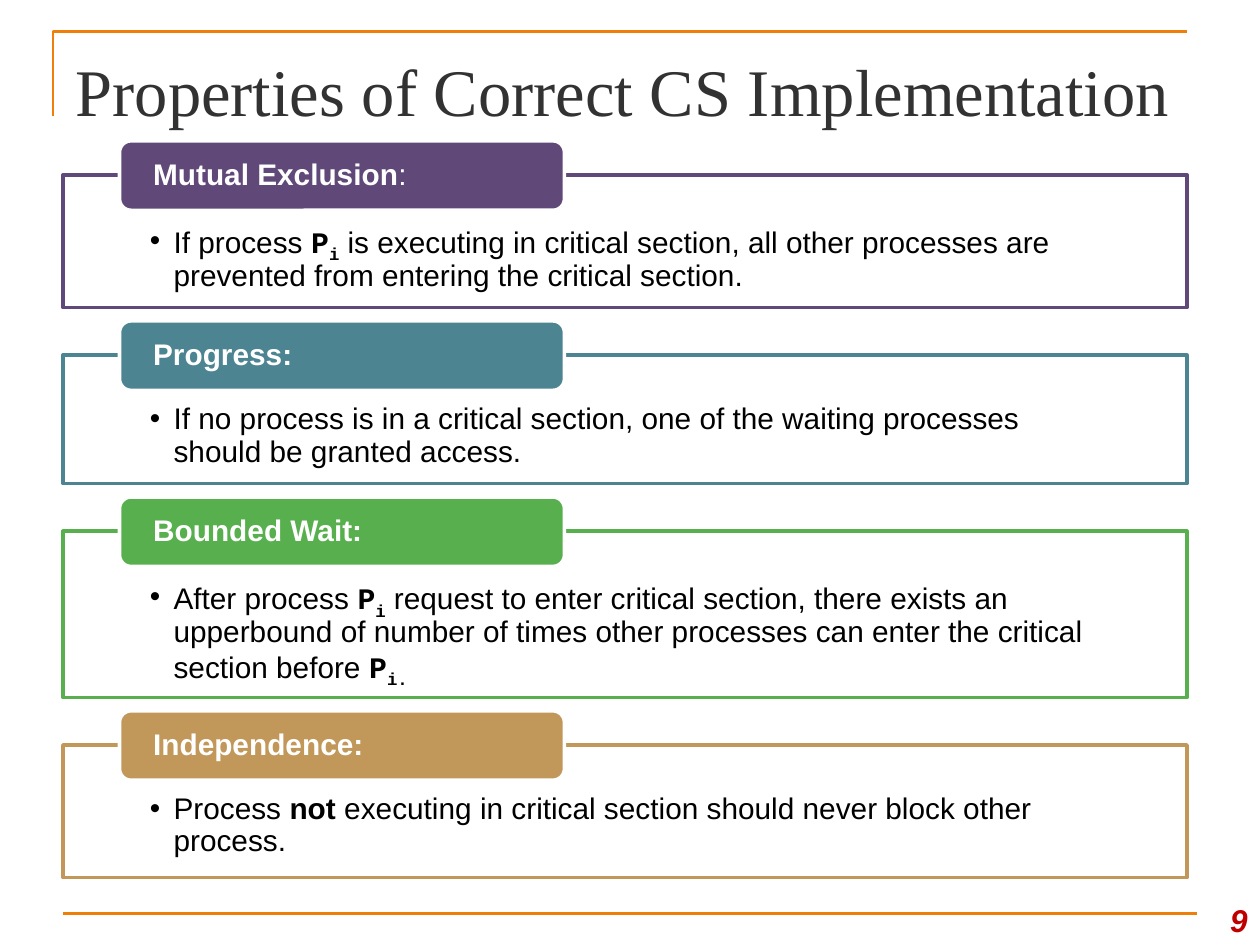
"""Builds a slide on the four properties of a correct critical section."""
from lxml import etree
from pptx import Presentation
from pptx.dml.color import RGBColor
from pptx.enum.shapes import MSO_CONNECTOR, MSO_SHAPE
from pptx.enum.text import MSO_ANCHOR, MSO_AUTO_SIZE, PP_ALIGN
from pptx.oxml.ns import qn
from pptx.util import Cm, Pt

RECTANGLE, ROUNDED = MSO_SHAPE.RECTANGLE, MSO_SHAPE.ROUNDED_RECTANGLE
STRAIGHT = MSO_CONNECTOR.STRAIGHT
TOP, MIDDLE, BOTTOM = MSO_ANCHOR.TOP, MSO_ANCHOR.MIDDLE, MSO_ANCHOR.BOTTOM
LEFT, RIGHT = PP_ALIGN.LEFT, PP_ALIGN.RIGHT
NO_AUTOFIT = MSO_AUTO_SIZE.NONE

WHITE = RGBColor(0xFF, 0xFF, 0xFF)
BLACK = RGBColor(0x00, 0x00, 0x00)
CHARCOAL = RGBColor(0x32, 0x32, 0x32)
ORANGE = RGBColor(0xF0, 0x7F, 0x09)
RED = RGBColor(0xC0, 0x00, 0x00)
PURPLE = RGBColor(0x60, 0x48, 0x78)
TEAL = RGBColor(0x4C, 0x84, 0x92)
GREEN = RGBColor(0x57, 0xAF, 0x4D)
TAN = RGBColor(0xC1, 0x98, 0x59)

PLAIN, BOLD, CODE, SUBSCRIPT = "plain", "bold", "code", "subscript"
PROCESS = [("P", CODE), ("i", SUBSCRIPT)]
PROPERTIES = [
    (PURPLE, 2.67, [("Mutual Exclusion", BOLD), (":", PLAIN)],
     [("If process ", PLAIN), *PROCESS,
      (" is executing in critical section, all other processes are "
       "prevented from entering the critical section.", PLAIN)]),
    (TEAL, 2.59, [("Progress:", BOLD)],
     [("If no process is in a critical section, one of the waiting "
       "processes should be granted access.", PLAIN)]),
    (GREEN, 3.35, [("Bounded Wait:", BOLD)],
     [("After process ", PLAIN), *PROCESS,
      (" request to enter critical section, there exists an upperbound of "
       "number of times other processes can enter the critical section "
       "before ", PLAIN), ("P", CODE), ("i.", SUBSCRIPT)]),
    (TAN, 2.67, [("Independence:", BOLD)],
     [("Process ", PLAIN), ("not ", BOLD),
      ("executing in critical section should never block other process.",
       PLAIN)]),
]
FIRST_TOP, GAP, TAB_RISE = 3.53, 0.96, 0.69


class SlideBuilder:
    """Holds the style and the current slide."""

    text_font, code_font, title_font = "Arial", "Courier New", "Times New Roman"
    text_size, title_size, number_size = Pt(17), Pt(38), Pt(18)
    rule_width, outline_width = Pt(1.5), Pt(2)

    def __init__(self, presentation):
        """Adds a title-only slide."""
        self.slide = presentation.slides.add_slide(presentation.slide_layouts[5])

    def title(self, text):
        """Places and formats the title."""
        shape = self.slide.shapes.title
        shape.left, shape.top = Cm(1.27), Cm(0.76)
        shape.width, shape.height = Cm(22.86), Cm(1.98)
        frame = shape.text_frame
        frame.text = text
        frame.auto_size = NO_AUTOFIT
        frame.vertical_anchor = BOTTOM
        paragraph = frame.paragraphs[0]
        paragraph.alignment = LEFT
        font = paragraph.runs[0].font
        font.name, font.size = self.title_font, self.title_size
        font.color.rgb = CHARCOAL

    def corner(self, left, top, right, bottom):
        """Draws an open corner along the left and top."""
        builder = self.slide.shapes.build_freeform(Cm(left), Cm(bottom))
        builder.add_line_segments(
            [(Cm(left), Cm(top)), (Cm(right), Cm(top))], close=False)
        shape = builder.convert_to_shape()
        shape.shadow.inherit = False
        shape.fill.background()
        shape.line.color.rgb, shape.line.width = ORANGE, self.rule_width

    def rule(self, left, right, top):
        """Draws a horizontal rule."""
        connector = self.slide.shapes.add_connector(
            STRAIGHT, Cm(left), Cm(top), Cm(right), Cm(top))
        connector.line.color.rgb = ORANGE
        connector.line.width = self.rule_width
        etree.SubElement(connector.element.spPr, qn("a:effectLst"))

    def box(self, kind, bounds, fill, outline):
        """Adds a filled and outlined shape."""
        shape = self.slide.shapes.add_shape(kind, *map(Cm, bounds))
        shape.shadow.inherit = False
        shape.fill.solid()
        shape.fill.fore_color.rgb = fill
        shape.line.color.rgb, shape.line.width = outline, self.outline_width
        return shape

    def styled_text(self, shape, pieces, color, margins, anchor):
        """Puts styled runs into a shape and returns the paragraph."""
        frame = shape.text_frame
        frame.word_wrap = True
        frame.vertical_anchor = anchor
        side, top, bottom = map(Cm, margins)
        frame.margin_left = frame.margin_right = side
        frame.margin_top, frame.margin_bottom = top, bottom
        paragraph = frame.paragraphs[0]
        paragraph.alignment = LEFT
        paragraph.line_spacing = 0.9
        for text, style in pieces:
            run = paragraph.add_run()
            run.text = text
            font = run.font
            font.size, font.bold = self.text_size, style != PLAIN
            font.color.rgb = color
            is_code = style in (CODE, SUBSCRIPT)
            font.name = self.code_font if is_code else self.text_font
            if style == SUBSCRIPT:
                run._r.get_or_add_rPr().set("baseline", "-25000")
        return paragraph

    def panel(self, top, height, color, pieces):
        """Adds an outlined panel with one bulleted paragraph."""
        shape = self.box(RECTANGLE, (1.27, top, 22.66, height), WHITE, color)
        fill_color = shape.element.spPr.find(
            f"{qn('a:solidFill')}/{qn('a:srgbClr')}")
        etree.SubElement(fill_color, qn("a:alpha"), val="90000")
        paragraph = self.styled_text(
            shape, pieces, BLACK, (1.75, 0.99, 0.33), TOP)
        properties = paragraph._p.get_or_add_pPr()
        properties.set("marL", str(Cm(0.48)))
        properties.set("indent", str(-Cm(0.48)))
        etree.SubElement(properties, qn("a:buFont"), typeface=self.text_font)
        etree.SubElement(properties, qn("a:buChar"), char="•")

    def tab(self, top, color, pieces):
        """Adds the coloured heading of a panel."""
        shape = self.box(ROUNDED, (2.41, top, 8.97, 1.4), color, WHITE)
        self.styled_text(shape, pieces, WHITE, (0.61, 0, 0), MIDDLE)

    def number(self, text):
        """Adds the slide number."""
        shape = self.slide.shapes.add_textbox(
            Cm(23.93), Cm(17.78), Cm(1.47), Cm(1.27))
        frame = shape.text_frame
        frame.text = text
        frame.word_wrap = True
        frame.vertical_anchor = BOTTOM
        paragraph = frame.paragraphs[0]
        paragraph.alignment = RIGHT
        font = paragraph.runs[0].font
        font.name, font.size = self.text_font, self.number_size
        font.bold = font.italic = True
        font.color.rgb = RED


def main():
    """Builds and saves the presentation."""
    presentation = Presentation()
    presentation.slide_width, presentation.slide_height = Cm(25.4), Cm(19.05)
    builder = SlideBuilder(presentation)
    builder.corner(1.07, 0.64, 23.93, 2.33)
    builder.rule(1.27, 24.13, 18.42)
    builder.title("Properties of Correct CS Implementation")
    top = FIRST_TOP
    for color, height, heading, description in PROPERTIES:
        builder.panel(top, height, color, description)
        builder.tab(top - TAB_RISE, color, heading)
        top += height + GAP
    builder.number("9")
    presentation.save("out.pptx")


if __name__ == "__main__":
    main()
